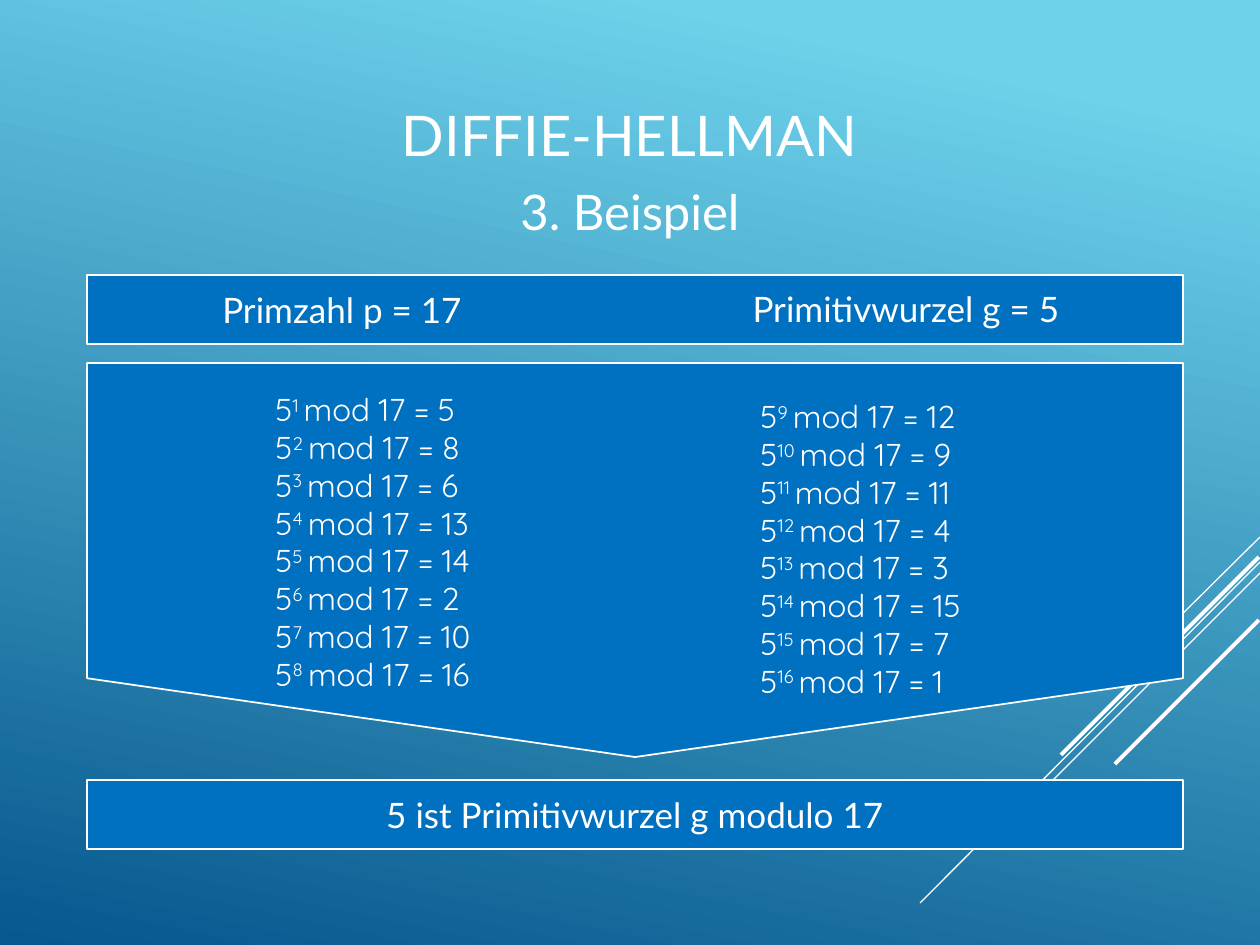
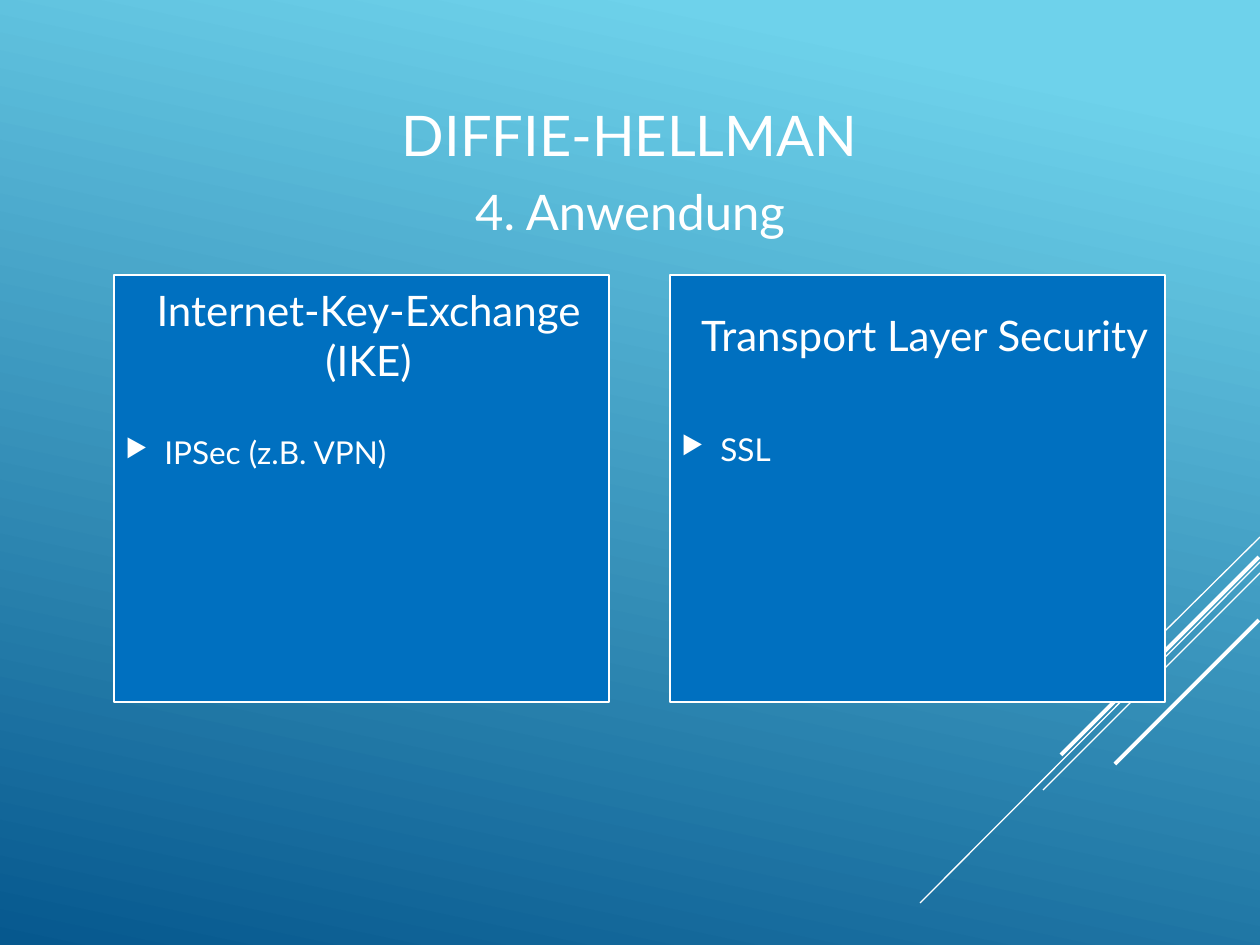
from lxml import etree
from pptx import Presentation
from pptx import util as u
from pptx.dml.color import RGBColor
from pptx.enum import shapes, text
from pptx.oxml import ns

PX = 914400 / 126  # EMU per px
WIDE, HIGH = 1260, 945

WHITE = RGBColor(0xFF, 0xFF, 0xFF)
BLUE = RGBColor(0x00, 0x70, 0xC0)
SKY = RGBColor(0x6E, 0xD2, 0xEB)
DEEP = RGBColor(0x06, 0x58, 0x8E)

# Text formats
TITLE = dict(name="Lato", size=u.Pt(32))
SUB = dict(name="Lato", size=u.Pt(28))
HEAD = dict(name="Lato", size=u.Pt(24))
FACT = dict(name="Lato", size=u.Pt(20))
ITEM = dict(name="Lato", size=u.Pt(18))
POWER = dict(name="Quicksand", size=u.Pt(18))

CENTER, LEFT = text.PP_ALIGN.CENTER, text.PP_ALIGN.LEFT
MIDDLE, TOP = text.MSO_ANCHOR.MIDDLE, text.MSO_ANCHOR.TOP
RECT = shapes.MSO_SHAPE.RECTANGLE
POINTED = shapes.MSO_SHAPE.FLOWCHART_OFFPAGE_CONNECTOR

# Decorative strokes: start x, start y, end x, end y, width in points
STROKES = [
    (1260, 537, 1155, 641, 0.75),
    (1260, 562, 920, 903, 0.75),
    (1260, 573, 1043, 790, 0.75),
    (1259, 557, 1061, 755, 2.25),
    (1259, 620, 1115, 764, 2.25),
]


def emu(*sizes):
    return [u.Emu(round(size * PX)) for size in sizes]


def style(font, form):
    for key, value in form.items():
        setattr(font, key, value)
    font.color.rgb = WHITE


def sub(parent, tag, **attrs):
    return etree.SubElement(parent, ns.qn(tag), attrs)


def add_frame(slide, box, anchor=TOP, grow=False):
    frame = slide.shapes.add_textbox(*emu(*box)).text_frame
    frame.word_wrap = True
    frame.vertical_anchor = anchor
    if grow:
        frame.auto_size = text.MSO_AUTO_SIZE.SHAPE_TO_FIT_TEXT
    return frame


def add_text(slide, box, words, form, align=CENTER, anchor=TOP, grow=False):
    para = add_frame(slide, box, anchor, grow).paragraphs[0]
    para.alignment = align
    run = para.add_run()
    run.text = words
    style(run.font, form)
    return para


def add_panel(slide, box, kind=RECT):
    panel = slide.shapes.add_shape(kind, *emu(*box))
    panel.shadow.inherit = False
    panel.fill.solid()
    panel.fill.fore_color.rgb = BLUE
    panel.line.color.rgb = WHITE
    panel.line.width = u.Pt(1)


def add_base(deck, topic):
    """Add a slide with the shared background, strokes and titles."""
    slide = deck.slides.add_slide(deck.slide_layouts[6])

    # Background
    fill = slide.background.fill
    fill.gradient()
    fill.gradient_angle = 258
    for stop, color, place in zip(fill.gradient_stops, (SKY, DEEP), (0.1, 1)):
        stop.color.rgb = color
        stop.position = place

    # Strokes
    for *ends, width in STROKES:
        stroke = slide.shapes.add_connector(
            shapes.MSO_CONNECTOR.STRAIGHT, *emu(*ends))
        stroke.line.color.rgb = WHITE
        stroke.line.width = u.Pt(width)
        sub(stroke._element.spPr, "a:effectLst")

    # Titles
    add_text(slide, (0, 29, WIDE, 210), "DIFFIE-HELLMAN", TITLE, anchor=MIDDLE)
    add_text(slide, (0, 175, WIDE, 72), topic, SUB, grow=True)
    return slide


def add_powers(slide, box, root, prime, span):
    """List the powers of the root modulo the prime."""
    frame = add_frame(slide, box, grow=True)
    for row, exp in enumerate(span):
        para = frame.add_paragraph() if row else frame.paragraphs[0]
        rest = f"mod {prime} = {pow(root, exp, prime)}"
        for words, raised in ((f"{root}", 0), (f"{exp} ", 30000), (rest, 0)):
            run = para.add_run()
            run.text = words
            style(run.font, POWER)
            if raised:
                run._r.get_or_add_rPr().set("baseline", str(raised))


def add_sample(slide, box, root, prime):
    """Place the given numbers, their powers and the finding."""
    x, y, w, h = box
    bar = 69

    # Given numbers
    add_panel(slide, (x, y, w, bar))
    add_text(slide, (x, y + 7, 510, 55), f"Primzahl p = {prime}", FACT, grow=True)
    add_text(slide, (x + 543, y + 6, 552, 55),
             f"Primitivwurzel g = {root}", FACT, grow=True)

    # Powers in two columns
    add_panel(slide, (x, y + 88, w, 394), POINTED)
    half = (prime + 1) // 2
    add_powers(slide, (x + 176, y + 109, 251, 318), root, prime, range(1, half))
    add_powers(slide, (x + 661, y + 116, 268, 318), root, prime, range(half, prime))

    # Finding
    foot = y + h - bar
    add_panel(slide, (x, foot, w, bar))
    add_text(slide, (x, foot + 7, w, 55),
             f"{root} ist Primitivwurzel g modulo {prime}", FACT, grow=True)


def add_use(slide, box, name, item, drop, tall):
    """Place a panel with a heading and one bulleted item."""
    x, y, w, h = box
    add_panel(slide, box)

    # Heading
    head = add_text(slide, (x - 1, y, w + 1, 119), name, HEAD, anchor=MIDDLE)
    head._p.get_or_add_pPr().set("marL", str(emu(15)[0]))
    head.space_after = u.Pt(6)

    # Bulleted item
    para = add_text(slide, (x - 1, y + drop, w + 1, tall), item, ITEM, LEFT, MIDDLE)
    props = para._p.get_or_add_pPr()
    props.set("marL", str(emu(39)[0]))
    props.set("indent", str(emu(-39)[0]))
    sub(sub(props, "a:buClr"), "a:srgbClr", val=str(WHITE))
    sub(props, "a:buSzPct", val="80000")
    sub(props, "a:buChar", char="▶")
    para.space_after = u.Pt(6)


def main():
    deck = Presentation()
    deck.slide_width, deck.slide_height = emu(WIDE, HIGH)

    # Worked example
    slide = add_base(deck, "3. Beispiel")
    add_sample(slide, (87, 275, 1096, 574), 5, 17)

    # Uses
    slide = add_base(deck, "4. Anwendung")
    uses = [
        ("Internet-Key-Exchange (IKE)", "IPSec (z.B. VPN)", 58, 238),
        ("Transport Layer Security", "SSL", 79, 189),
    ]
    for col, use in enumerate(uses):
        add_use(slide, (114 + col * 556, 275, 495, 427), *use)

    deck.save("out.pptx")


if __name__ == "__main__":
    main()
